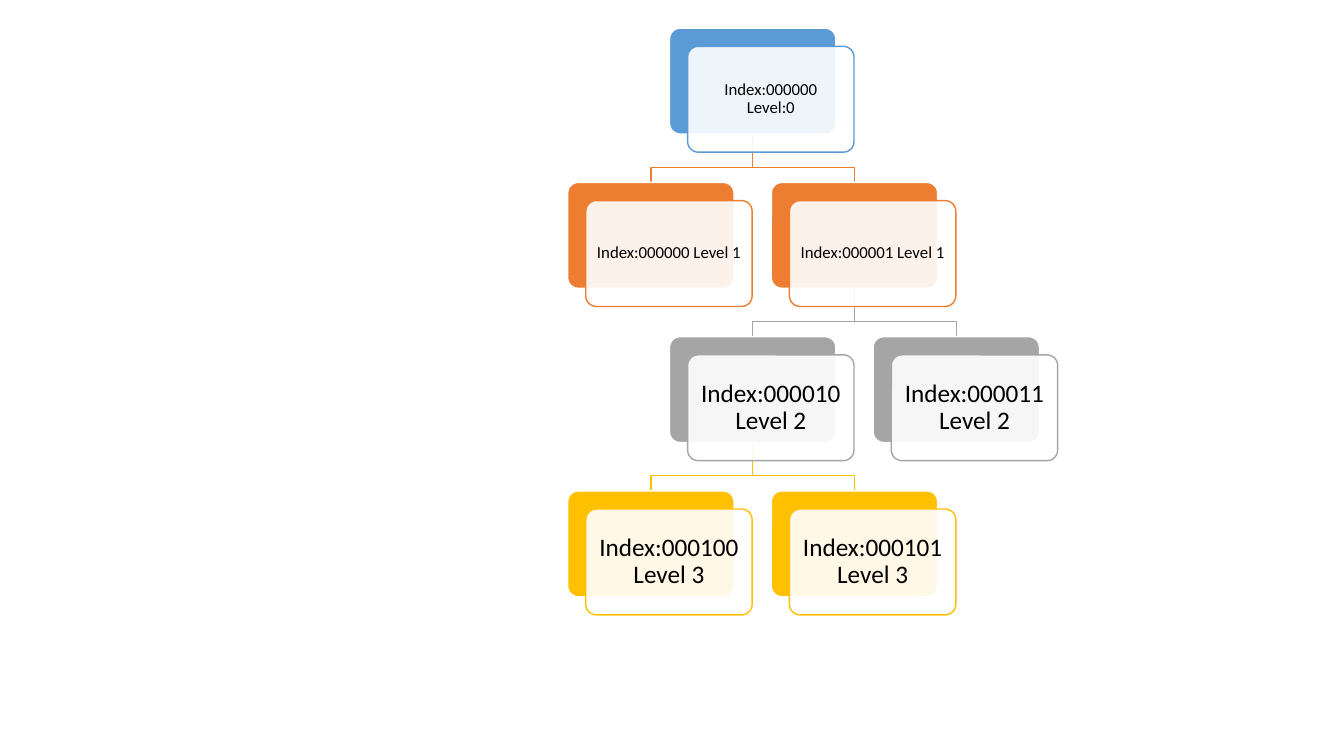
from dataclasses import dataclass

from lxml.etree import SubElement
from pptx import Presentation
from pptx.dml.color import RGBColor
from pptx.enum.shapes import MSO_SHAPE
from pptx.enum.text import MSO_ANCHOR, PP_ALIGN
from pptx.oxml.ns import qn
from pptx.util import Inches, Pt


@dataclass(frozen=True)
class Theme:
    font: str = "Calibri"
    white: str = "FFFFFF"
    text: str = "000000"
    levels: tuple = ("5B9BD5", "ED7D31", "A5A5A5", "FFC000")
    sizes: tuple = (12, 12, 18, 18)
    insets: tuple = (0.05, 0.05, 0.07, 0.07)
    line_width: float = 1
    card_opacity: int = 90


theme = Theme()

TREE_LEFT, TREE_TOP = 5.63, 0.28
COLUMN, ROW = 1.01, 1.53
CARD_WIDTH, CARD_HEIGHT = 1.65, 1.05
CARD_OFFSET = 0.18
STEM = 0.33

nodes = [
    (0, 1, "Index:000000\vLevel:0"),
    (1, 0, "Index:000000 Level 1"),
    (1, 2, "Index:000001 Level 1"),
    (2, 1, "Index:000010 Level 2"),
    (3, 0, "Index:000100 Level 3"),
    (3, 2, "Index:000101 Level 3"),
    (2, 3, "Index:000011 Level 2"),
]
branches = [(2, 2, 3), (3, 1, 2), (3, 1, 0), (2, 2, 1), (1, 1, 2), (1, 1, 0)]


def place(level, column):
    return TREE_LEFT + column * COLUMN, TREE_TOP + level * ROW


def add_card(left, top, fill, line):
    card = slide.shapes.add_shape(
        MSO_SHAPE.ROUNDED_RECTANGLE,
        Inches(left), Inches(top), Inches(CARD_WIDTH), Inches(CARD_HEIGHT),
    )
    card.adjustments[0] = 0.1
    card.shadow.inherit = False
    card.fill.solid()
    card.fill.fore_color.rgb = RGBColor.from_string(fill)
    card.line.color.rgb = RGBColor.from_string(line)
    card.line.width = Pt(theme.line_width)
    return card


presentation = Presentation()
presentation.slide_width = Inches(13.33)
presentation.slide_height = Inches(7.5)
slide = presentation.slides.add_slide(presentation.slide_layouts[6])

for level, parent_column, child_column in branches:
    parent_left, parent_top = place(level - 1, parent_column)
    child_left, child_top = place(level, child_column)
    start_x = parent_left + CARD_WIDTH / 2
    start_y = parent_top + CARD_HEIGHT
    end_x = child_left + CARD_WIDTH / 2
    bend_y = start_y + STEM
    builder = slide.shapes.build_freeform(Inches(start_x), Inches(start_y))
    corners = [(start_x, bend_y), (end_x, bend_y), (end_x, child_top)]
    builder.add_line_segments([(Inches(x), Inches(y)) for x, y in corners], close=False)
    branch = builder.convert_to_shape()
    branch.shadow.inherit = False
    branch.fill.background()
    branch.line.color.rgb = RGBColor.from_string(theme.levels[level])
    branch.line.width = Pt(theme.line_width)

for level, column, label in nodes:
    left, top = place(level, column)
    color = theme.levels[level]
    add_card(left, top, color, theme.white)
    front = add_card(left + CARD_OFFSET, top + CARD_OFFSET, theme.white, color)
    front_color = front.fill._xPr.find(qn("a:solidFill"))[0]
    SubElement(front_color, qn("a:alpha"), val=str(theme.card_opacity * 1000))

    frame = front.text_frame
    frame.text = label
    frame.word_wrap = True
    frame.vertical_anchor = MSO_ANCHOR.MIDDLE
    inset = Inches(theme.insets[level])
    frame.margin_left = frame.margin_right = inset
    frame.margin_top = frame.margin_bottom = inset
    paragraph = frame.paragraphs[0]
    paragraph.alignment = PP_ALIGN.CENTER
    paragraph.line_spacing = 0.9
    paragraph.space_after = Pt(theme.sizes[level] * 0.35)
    for run in paragraph.runs:
        run.font.name = theme.font
        run.font.size = Pt(theme.sizes[level])
        run.font.color.rgb = RGBColor.from_string(theme.text)

presentation.save("out.pptx")
